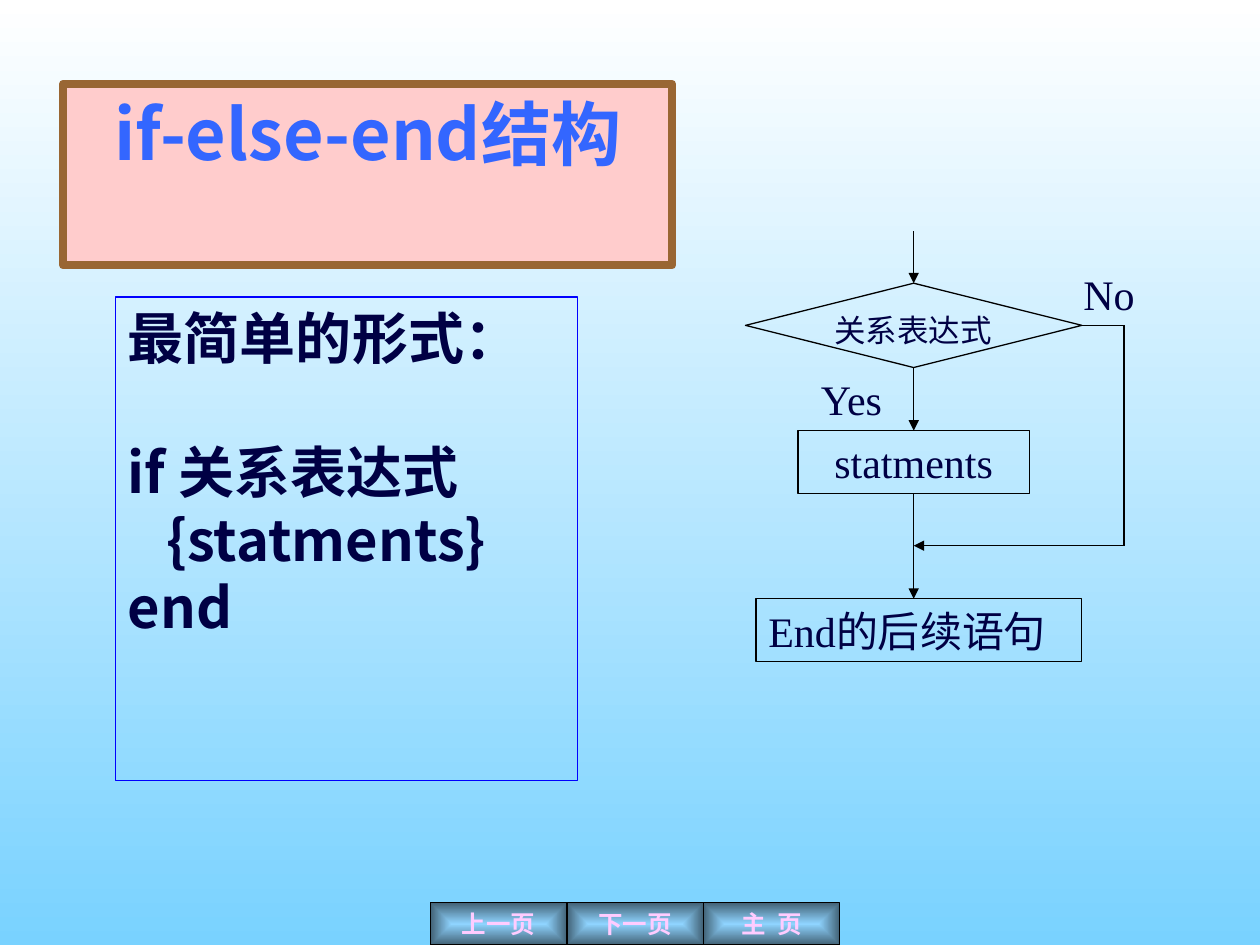
from pptx import Presentation
from pptx.dml.color import RGBColor
from pptx.enum.shapes import MSO_CONNECTOR, MSO_SHAPE
from pptx.enum.text import MSO_ANCHOR, PP_ALIGN
from pptx.oxml.ns import qn
from pptx.util import Cm, Pt
from lxml import etree

RECT, DECISION = MSO_SHAPE.RECTANGLE, MSO_SHAPE.FLOWCHART_DECISION
STRAIGHT = MSO_CONNECTOR.STRAIGHT
LEFT, CENTER, JUSTIFY = PP_ALIGN.LEFT, PP_ALIGN.CENTER, PP_ALIGN.JUSTIFY
TOP, MIDDLE = MSO_ANCHOR.TOP, MSO_ANCHOR.MIDDLE

WHITE = RGBColor(0xFF, 0xFF, 0xFF)
SKY = RGBColor(0x79, 0xD2, 0xFF)
BLACK = RGBColor(0, 0, 0)
NAVY = RGBColor(0, 0, 0x44)
BLUE = RGBColor(0, 0, 0xFF)
TITLE_BLUE = RGBColor(0x33, 0x66, 0xFF)
ROSE = RGBColor(0xFF, 0xCC, 0xCC)
BROWN = RGBColor(0x99, 0x66, 0x33)
PINK = RGBColor(0xFF, 0xCC, 0xFF)
BUTTON_LIGHT = RGBColor(0x8F, 0xD4, 0xFF)
BUTTON_DARK = RGBColor(0x42, 0x62, 0x76)

SANS, SERIF, ARIAL = "Noto Sans CJK SC", "Times New Roman", "Arial"


def write(tf, text, size=24, font=SERIF, color=NAVY, bold=False,
          align=LEFT, anchor=TOP, wrap=True, gaps=None):
    """Fill a text frame, one paragraph a line; gaps maps a line number to its space before."""
    tf.word_wrap = wrap
    tf.vertical_anchor = anchor
    tf.margin_left = tf.margin_right = Cm(0.25)
    tf.margin_top = tf.margin_bottom = Cm(0.13)
    for i, line in enumerate(text.split("\n")):
        p = tf.add_paragraph() if i else tf.paragraphs[0]
        p.alignment = align
        p.space_before = Pt((gaps or {}).get(i, 0))
        r = p.add_run()
        r.text = line
        r.font.size, r.font.name, r.font.bold = Pt(size), font, bold
        r.font.color.rgb = color
        ea = etree.SubElement(r.font._element, qn("a:ea"))
        ea.set("typeface", SANS)


def set_gradient(fill, *colors):
    fill.gradient()
    for stop, color in zip(fill.gradient_stops, colors):
        stop.color.rgb = color


class Deck:
    def __init__(self, prs):
        self.s = prs.slides.add_slide(prs.slide_layouts[5])
        self.line_color, self.line_width = BLACK, Pt(0.75)

    def background(self, top, bottom):
        fill = self.s.background.fill
        set_gradient(fill, top, bottom)
        fill.gradient_angle = 270

    def title(self, text, box, fill, line, **fmt):
        sp = self.s.shapes.title
        sp.left, sp.top, sp.width, sp.height = map(Cm, box)
        sp.fill.solid()
        sp.fill.fore_color.rgb = fill
        sp.line.color.rgb, sp.line.width = line, Pt(4.5)
        write(sp.text_frame, text, **fmt)

    def shape(self, box, text="", kind=RECT, line=None, **fmt):
        sp = self.s.shapes.add_shape(kind, *map(Cm, box))
        sp.shadow.inherit = False
        sp.fill.background()
        sp.line.color.rgb = line or self.line_color
        sp.line.width = self.line_width
        if text:
            write(sp.text_frame, text, **fmt)
        return sp

    def label(self, box, text, **fmt):
        write(self.s.shapes.add_textbox(*map(Cm, box)).text_frame, text, **fmt)

    def button(self, box, text, font):
        """Add a button shaded from a light centre to dark edges."""
        sp = self.shape(box, text, size=14, font=font, color=PINK, bold=True,
                        align=CENTER, anchor=MIDDLE, wrap=False)
        set_gradient(sp.fill, BUTTON_LIGHT, BUTTON_DARK)
        grad = sp._element.spPr.find(qn("a:gradFill"))
        grad.remove(grad.find(qn("a:lin")))
        shade = etree.SubElement(grad, qn("a:path"), path="rect")
        etree.SubElement(shade, qn("a:fillToRect"), l="50000", t="50000",
                         r="50000", b="50000")

    def route(self, *points, arrow=True):
        """Join the points with straight lines, the last one ending in an arrowhead."""
        for i, (start, end) in enumerate(zip(points, points[1:]), 2):
            c = self.s.shapes.add_connector(STRAIGHT, *map(Cm, start + end))
            c.line.color.rgb, c.line.width = self.line_color, self.line_width
            if arrow and i == len(points):
                etree.SubElement(c.line._get_or_add_ln(), qn("a:tailEnd"), type="triangle")
            etree.SubElement(c._element.spPr, qn("a:effectLst"))


def main():
    prs = Presentation()
    prs.slide_width, prs.slide_height = Cm(25.4), Cm(19.05)
    deck = Deck(prs)
    deck.background(WHITE, SKY)

    deck.title("if-else-end结构", (1.27, 1.69, 12.28, 3.66), ROSE, BROWN,
               size=40, font=SANS, color=TITLE_BLUE, bold=True, align=CENTER)
    deck.shape((2.33, 5.99, 9.31, 9.74),
               "最简单的形式：\nif 关系表达式\n   {statments}\nend",
               line=BLUE, size=32, font=SANS, bold=True, align=JUSTIFY,
               gaps={1: 38.4})

    # Flowchart
    axis, bypass = 18.42, 22.66
    deck.shape((15.03, 5.71, 6.78, 1.7), kind=DECISION)
    deck.label((16.18, 6.14, 4.45, 1.03), "关系表达式", size=18, align=CENTER)
    deck.shape((16.09, 8.68, 4.66, 1.27), "statments", align=CENTER)
    deck.shape((15.24, 12.07, 6.56, 1.27), "End的后续语句")
    deck.label((16.3, 7.41, 1.91, 1.27), "Yes")
    deck.label((21.59, 5.29, 1.91, 1.27), "No")
    for top, bottom in ((4.66, 5.71), (7.41, 8.68), (9.95, 12.07)):
        deck.route((axis, top), (axis, bottom))
    deck.route((21.81, 6.56), (bypass, 6.56), (bypass, 11), (axis, 11))

    # Navigation
    width = 2.75
    buttons = (("上一页", ARIAL), ("下一页", ARIAL), ("主  页", SANS))
    for i, (text, font) in enumerate(buttons):
        deck.button((8.68 + i * width, 18.2, width, 0.85), text, font)

    prs.save("out.pptx")


if __name__ == "__main__":
    main()
